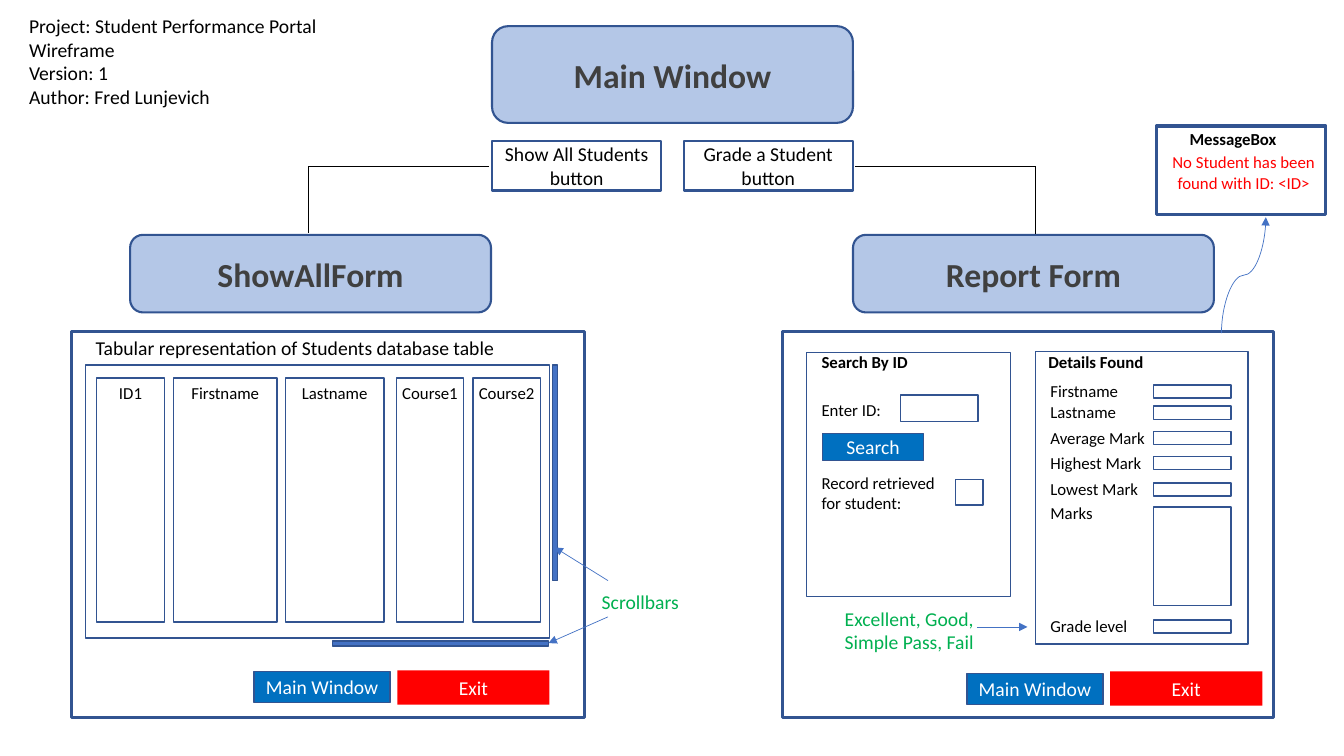
from lxml import etree
from pptx import Presentation
from pptx.dml.color import RGBColor
from pptx.enum import shapes, text
from pptx.oxml import ns
from pptx.util import Inches, Pt

NAVY, BLUE, PALE, BUTTON = "325491", "4472C4", "B4C7E7", "0070C0"
RED, GREEN, BLACK, WHITE, GREY = "FF0000", "00B050", "000000", "FFFFFF", "404040"
RECT, ROUND = shapes.MSO_SHAPE.RECTANGLE, shapes.MSO_SHAPE.ROUNDED_RECTANGLE
LEFT, CENTER = text.PP_ALIGN.LEFT, text.PP_ALIGN.CENTER
TOP, MIDDLE = text.MSO_ANCHOR.TOP, text.MSO_ANCHOR.MIDDLE
color = RGBColor.from_string

prs = Presentation()
prs.slide_width, prs.slide_height = Inches(13.33), Inches(7.5)
slide = prs.slides.add_slide(prs.slide_layouts[5])


def write(shape, words, size=12, ink=BLACK, bold=False, align=LEFT, anchor=TOP, wrap=True):
    frame = shape.text_frame
    frame.text = words
    frame_format = {"word_wrap": wrap, "vertical_anchor": anchor,
                    "auto_size": text.MSO_AUTO_SIZE.NONE,
                    "margin_left": Inches(0.1), "margin_right": Inches(0.1),
                    "margin_top": Inches(0.05), "margin_bottom": Inches(0.05)}
    for name, value in frame_format.items():
        setattr(frame, name, value)
    for paragraph in frame.paragraphs:
        paragraph.alignment = align
        for name, value in {"name": "Calibri", "size": Pt(size), "bold": bold}.items():
            setattr(paragraph.font, name, value)
        paragraph.font.color.rgb = color(ink)


def box(place, fill=None, line=NAVY, width=1, kind=RECT):
    shape = slide.shapes.add_shape(kind, *map(Inches, place))
    shape.shadow.inherit = False
    if fill:
        shape.fill.solid()
        shape.fill.fore_color.rgb = color(fill)
    else:
        shape.fill.background()
    if line:
        shape.line.color.rgb = color(line)
        shape.line.width = Pt(width)
    else:
        shape.line.fill.background()
    return shape


# Main window heading
main_place = (4.88, 0.26, 3.58, 0.96)
box(main_place, PALE, width=1.5, kind=ROUND)
title = slide.shapes.title
for side, value in zip(("left", "top", "width", "height"), main_place):
    setattr(title, side, Inches(value))
heading = {"size": 24, "ink": GREY, "bold": True, "align": CENTER, "anchor": MIDDLE}
write(title, "Main Window", **heading)
slide.shapes._spTree.append(title._element)

# Form headings
for left, form in ((1.29, "ShowAllForm"), (8.46, "Report Form")):
    write(box((left, 2.33, 3.58, 0.77), PALE, width=1.5, kind=ROUND), form, **heading)

# Buttons of the main window
for left, caption in ((4.88, "Show All Students\nbutton"), (6.78, "Grade a Student\nbutton")):
    write(box((left, 1.4, 1.68, 0.49), width=1.5), caption, 14,
          align=CENTER, anchor=MIDDLE, wrap=False)

# Form frames
for place in ((0.71, 3.29, 5.09, 3.83), (7.76, 3.29, 4.87, 3.83)):
    box(place, width=2.25)

# Students table with its columns and scrollbars
box((0.85, 3.62, 4.6, 2.71))
for left, width, column in ((0.96, 0.67, "ID1"), (1.72, 1.03, "Firstname"),
                            (2.83, 0.98, "Lastname"), (3.93, 0.67, "Course1"),
                            (4.69, 0.67, "Course2")):
    write(box((left, 3.75, width, 2.42)), column, align=CENTER, wrap=False)
for place in ((3.3, 6.36, 2.14, 0.05), (5.48, 3.62, 0.05, 2.14)):
    box(place, BLUE)

# Search and details panels
for place in ((8, 3.5, 2.02, 2.42), (10.27, 3.49, 2.11, 2.9),
              (8.93, 3.92, 0.77, 0.26), (9.48, 4.76, 0.27, 0.25)):
    box(place)

labels = [
    ((0.19, 0.09, 3.06, 1.04), "Project: Student Performance Portal\nWireframe\n"
     "Version: 1\nAuthor: Fred Lunjevich", {"size": 14}),
    ((0.85, 3.28, 4.38, 0.34), "Tabular representation of Students database table",
     {"size": 14}),
    ((5.87, 5.8, 1, 0.34), "Scrollbars", {"size": 14, "ink": GREEN, "wrap": False}),
    ((8.28, 5.97, 1.56, 0.57), "Excellent, Good,\nSimple Pass, Fail",
     {"size": 14, "ink": GREEN}),
    ((8.05, 3.44, 1.14, 0.3), "Search By ID", {"bold": True}),
    ((8.05, 3.92, 1, 0.3), "Enter ID:", {}),
    ((8.05, 4.64, 1.43, 0.5), "Record retrieved\nfor student:", {}),
    ((10.3, 3.44, 1.31, 0.3), "Details Found", {"bold": True}),
]

# Details: each field sits a little below the top of its label
for top, detail, height in ((3.73, "Firstname", 0.13), (3.94, "Lastname", 0.13),
                            (4.19, "Average Mark", 0.13), (4.44, "Highest Mark", 0.13),
                            (4.7, "Lowest Mark", 0.13), (4.94, "Marks", 0.98),
                            (6.06, "Grade level", 0.13)):
    labels.append(((10.32, top, 1.17, 0.3), detail, {}))
    box((11.44, top + 0.09, 0.77, height))

# Message box
box((11.47, 1.25, 1.68, 0.88), width=2.25)
labels += [
    ((11.7, 1.23, 1.14, 0.3), "MessageBox", {"bold": True}),
    ((11.5, 1.46, 1.67, 0.5), "No Student has been found with ID: <ID>",
     {"ink": RED, "align": CENTER}),
]
for place, words, style in labels:
    write(slide.shapes.add_textbox(*map(Inches, place)), words, **style)

# Command buttons
for place, caption, fill, line in (((2.52, 6.66, 1.35, 0.31), "Main Window", BUTTON, NAVY),
                                   ((3.94, 6.65, 1.51, 0.34), "Exit", RED, None),
                                   ((9.59, 6.68, 1.35, 0.31), "Main Window", BUTTON, NAVY),
                                   ((11.01, 6.66, 1.51, 0.34), "Exit", RED, None),
                                   ((8.16, 4.3, 1, 0.27), "Search", BUTTON, NAVY)):
    write(box(place, fill, line), caption, 14, WHITE, align=CENTER, anchor=MIDDLE, wrap=False)

# Tree lines and arrows; the curve is laid flat, then turned a quarter
STRAIGHT, CURVE = shapes.MSO_CONNECTOR.STRAIGHT, shapes.MSO_CONNECTOR.CURVE
for kind, ends, ink, width in ((STRAIGHT, (4.85, 1.65, 3.06, 1.65), BLACK, 1),
                               (STRAIGHT, (10.27, 1.65, 8.48, 1.65), BLACK, 1),
                               (STRAIGHT, (3.06, 1.65, 3.06, 2.31), BLACK, 0.5),
                               (STRAIGHT, (10.27, 1.65, 10.27, 2.32), BLACK, 0.5),
                               (STRAIGHT, (6.03, 5.76, 5.5, 5.43), BLUE, 0.5),
                               (STRAIGHT, (6.03, 6.12, 5.44, 6.38), BLUE, 0.5),
                               (STRAIGHT, (9.69, 6.22, 10.19, 6.22), BLUE, 0.5),
                               (CURVE, (12.91, 2.95, 11.76, 2.51), BLUE, 0.5)):
    link = slide.shapes.add_connector(kind, *map(Inches, ends))
    link.line.color.rgb = color(ink)
    link.line.width = Pt(width)
    properties = link._element.spPr
    if ink == BLUE:
        etree.SubElement(properties.find(ns.qn("a:ln")), ns.qn("a:tailEnd"), type="triangle")
    etree.SubElement(properties, ns.qn("a:effectLst"))
    if kind == CURVE:
        properties.find(ns.qn("a:xfrm")).set("rot", str(90 * 60000))

prs.save("out.pptx")
